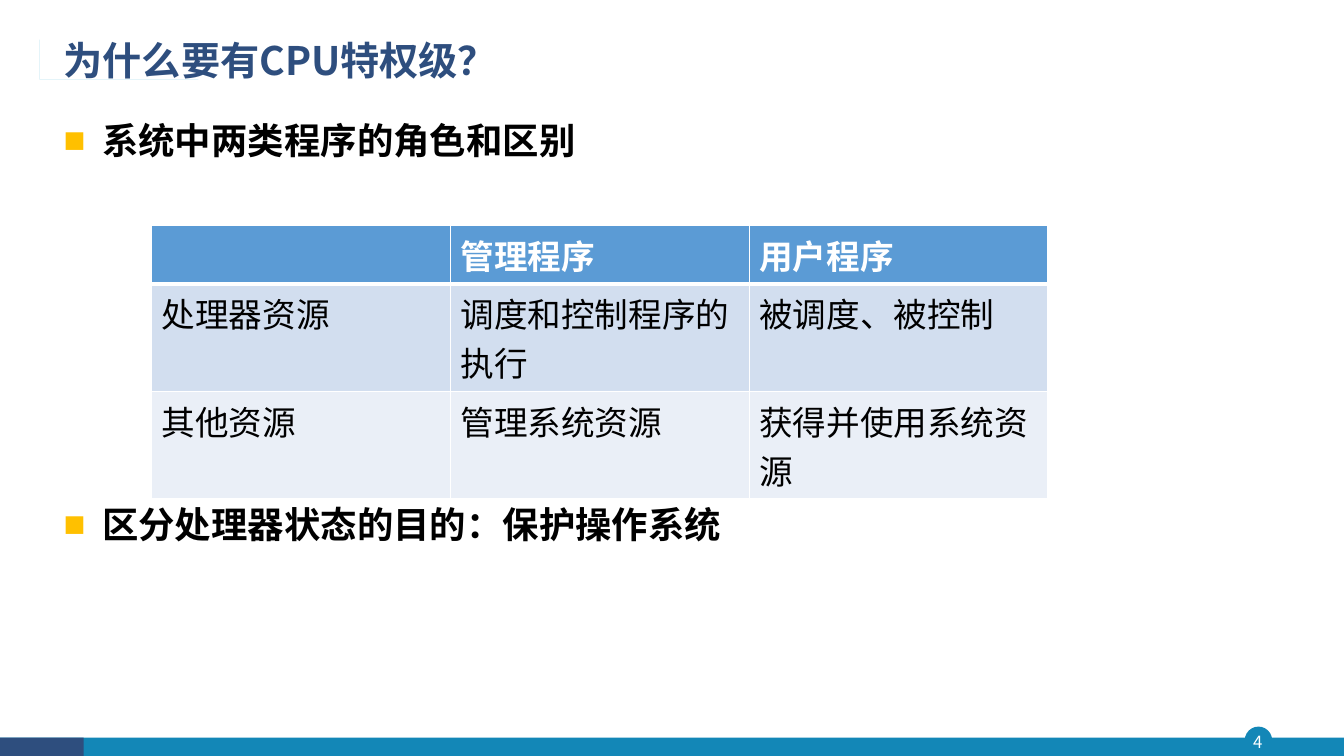
"""Build the slide on why a CPU has privilege levels."""
import pptx
import pptx.util
import pptx.dml.color
import pptx.enum.shapes
import pptx.enum.text
import pptx.oxml.ns
import lxml.etree

Cm = pptx.util.Cm
Pt = pptx.util.Pt
RGB = pptx.dml.color.RGBColor
KIND = pptx.enum.shapes.MSO_SHAPE
ALIGN = pptx.enum.text.PP_ALIGN
ANCHOR = pptx.enum.text.MSO_ANCHOR
FONT = "Noto Sans CJK SC"
WHITE = RGB(0xFF, 0xFF, 0xFF)
BLACK = RGB(0, 0, 0)
NAVY = RGB(0x2E, 0x4E, 0x7E)
TEAL = RGB(0x13, 0x87, 0xB7)
SKY = RGB(0x28, 0xA9, 0xD6)
GOLD = RGB(0xFF, 0xC0, 0x00)
HEAD = RGB(0x5B, 0x9B, 0xD5)
BANDS = [HEAD, RGB(0xD2, 0xDE, 0xEF), RGB(0xEA, 0xEF, 0xF7)]


def add(root, tag, **attrs):
    return lxml.etree.SubElement(root, pptx.oxml.ns.qn(tag), attrs)


def style(para, size, color, bold=False):
    for run in para.runs:
        font = run.font
        font.size = Pt(size)
        font.bold = bold
        font.color.rgb = color
        font.name = FONT
        add(run._r.get_or_add_rPr(), "a:ea", typeface=FONT)


deck = pptx.Presentation()
deck.slide_width = Cm(33.87)
deck.slide_height = Cm(19.05)
slide = deck.slides.add_slide(deck.slide_layouts[1])
shapes = slide.shapes

marks = [
    (KIND.OVAL, 31.37, 18.31, 0.69, 0.69, TEAL),
    (KIND.RECTANGLE, 0, 18.59, 33.87, 0.46, TEAL),
    (KIND.RECTANGLE, 0, 18.59, 2.11, 0.46, NAVY),
]
for kind, x, y, w, h, color in marks:
    mark = shapes.add_shape(kind, Cm(x), Cm(y), Cm(w), Cm(h))
    mark.shadow.inherit = False
    mark.fill.solid()
    mark.fill.fore_color.rgb = color
    mark.line.fill.background()

num = shapes.add_textbox(Cm(31.29), Cm(18.31), Cm(0.81), Cm(0.79))
frame = num.text_frame
frame.margin_left = frame.margin_right = 0
frame.margin_top = frame.margin_bottom = 0
frame.word_wrap = True
frame.vertical_anchor = ANCHOR.MIDDLE
frame.text = "4"
frame.paragraphs[0].alignment = ALIGN.CENTER
style(frame.paragraphs[0], 12, WHITE)

outline = [
    (1.37, 2.16), (4.75, 2.16), (4.75, 2.21), (1.32, 2.21),
    (1.32, 1.04), (1.19, 1.04), (1.19, 2.21), (0.91, 2.21),
    (0.91, 0.99), (0.99, 0.99), (0.99, 2.13), (1.12, 2.13), (1.12, 0.99),
]
pen = shapes.build_freeform(1.37, 0.99, scale=Cm(1))
pen.add_line_segments(outline, close=True)
frill = pen.convert_to_shape()
frill.shadow.inherit = False
frill.fill.solid()
frill.fill.fore_color.rgb = SKY
frill.line.fill.background()

title = shapes.title
title.left, title.top = Cm(1.35), Cm(0.86)
title.width, title.height = Cm(26.64), Cm(1.42)
frame = title.text_frame
frame.auto_size = pptx.enum.text.MSO_AUTO_SIZE.NONE
frame.vertical_anchor = ANCHOR.MIDDLE
frame.text = "为什么要有CPU特权级？"
para = frame.paragraphs[0]
para.alignment = ALIGN.LEFT
para.line_spacing = 0.9
style(para, 28, NAVY, True)

body = slide.placeholders[1]
body.left, body.top = Cm(1.35), Cm(2.31)
body.width, body.height = Cm(31.37), Cm(16.26)
frame = body.text_frame
frame.auto_size = pptx.enum.text.MSO_AUTO_SIZE.NONE
frame.text = "系统中两类程序的角色和区别\n区分处理器状态的目的：保护操作系统"
for para, gap in zip(frame.paragraphs, (10, 227)):
    para.alignment = ALIGN.JUSTIFY
    para.line_spacing = 1.5
    para.space_before = Pt(gap)
    style(para, 26, BLACK, True)
    props = para._p.get_or_add_pPr()
    props.set("marL", str(Cm(0.97)))
    props.set("indent", str(-Cm(0.97)))
    add(add(props, "a:buClr"), "a:srgbClr", val=str(GOLD))
    add(props, "a:buFont", typeface="Arial")
    add(props, "a:buChar", char="■")

rows = [
    ["", "管理程序", "用户程序"],
    ["处理器资源", "调度和控制程序的执行", "被调度、被控制"],
    ["其他资源", "管理系统资源", "获得并使用系统资源"],
]
grid = shapes.add_table(3, 3, Cm(3.82), Cm(5.69), Cm(22.59), Cm(6.88)).table
for col in grid.columns:
    col.width = Cm(7.53)
for r, (texts, high, band) in enumerate(zip(rows, (1.46, 2.71, 2.71), BANDS)):
    grid.rows[r].height = Cm(high)
    for c, text in enumerate(texts):
        cell = grid.cell(r, c)
        cell.text = text
        style(cell.text_frame.paragraphs[0], 24, BLACK if r else WHITE, r == 0)
        props = cell._tc.get_or_add_tcPr()
        for side in "LRTB":
            thick = (r, side) in [(0, "B"), (1, "T")]
            edge = add(props, "a:ln" + side, w=str(Pt(3 if thick else 1)))
            add(add(edge, "a:solidFill"), "a:srgbClr", val=str(WHITE))
        cell.fill.solid()
        cell.fill.fore_color.rgb = band

deck.save("out.pptx")
